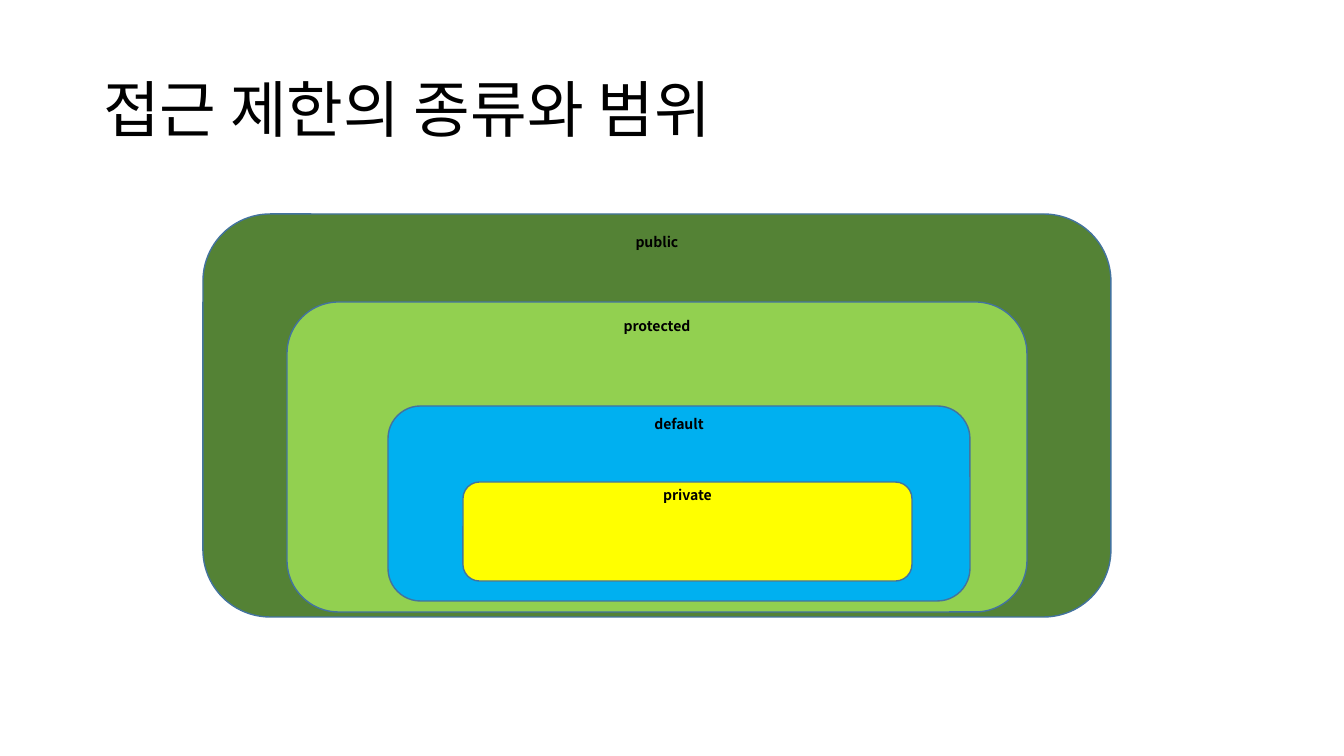
from lxml.etree import SubElement
from pptx import Presentation
from pptx.dml.color import RGBColor
from pptx.enum.shapes import MSO_SHAPE
from pptx.enum.text import MSO_ANCHOR, MSO_AUTO_SIZE, PP_ALIGN
from pptx.oxml.ns import qn
from pptx.util import Pt

EMU_PER_PX = 914400 / 100.8
FONT = "Noto Sans CJK KR"
COLORS = {
    "text": "000000",
    "outline": "43739E",
    "public": "548235",
    "protected": "92D050",
    "default": "00B0F0",
    "private": "FFFF00",
}

HEADING = "접근 제한의 종류와 범위"
HEADING_BOX = (93, 40, 1159, 146)
SCOPES = [
    ("public", (203, 214, 908, 403)),
    ("protected", (287, 302, 740, 310)),
    ("default", (388, 406, 582, 195)),
    ("private", (463, 482, 449, 99)),
]


def px(length):
    return round(length * EMU_PER_PX)


def color(name):
    return RGBColor.from_string(COLORS[name])


def write(frame, text, size, bold, align, anchor):
    frame.text = text
    frame.word_wrap = True
    frame.auto_size = MSO_AUTO_SIZE.NONE
    frame.vertical_anchor = anchor
    paragraph = frame.paragraphs[0]
    paragraph.alignment = align
    font = paragraph.runs[0].font
    font.name, font.size, font.bold = FONT, Pt(size), bold
    font.color.rgb = color("text")
    SubElement(paragraph.runs[0].font._element, qn("a:ea"), typeface=FONT)


def draw_scope(slide, scope, box):
    area = slide.shapes.add_shape(MSO_SHAPE.ROUNDED_RECTANGLE, *map(px, box))
    area.shadow.inherit = False
    area.fill.solid()
    area.fill.fore_color.rgb = color(scope)
    area.line.color.rgb = color("outline")
    area.line.width = Pt(1)
    frame = area.text_frame
    frame.margin_left = frame.margin_right = 0
    frame.margin_top = frame.margin_bottom = 0
    write(frame, scope, 10, True, PP_ALIGN.CENTER, MSO_ANCHOR.TOP)


deck = Presentation()
deck.slide_width, deck.slide_height = px(1344), px(756)
slide = deck.slides.add_slide(deck.slide_layouts[5])

heading = slide.shapes.title
heading.left, heading.top, heading.width, heading.height = map(px, HEADING_BOX)
write(heading.text_frame, HEADING, 44, False, PP_ALIGN.LEFT, MSO_ANCHOR.MIDDLE)
heading.text_frame.paragraphs[0].line_spacing = 0.9

for scope, box in SCOPES:
    draw_scope(slide, scope, box)

deck.save("out.pptx")
